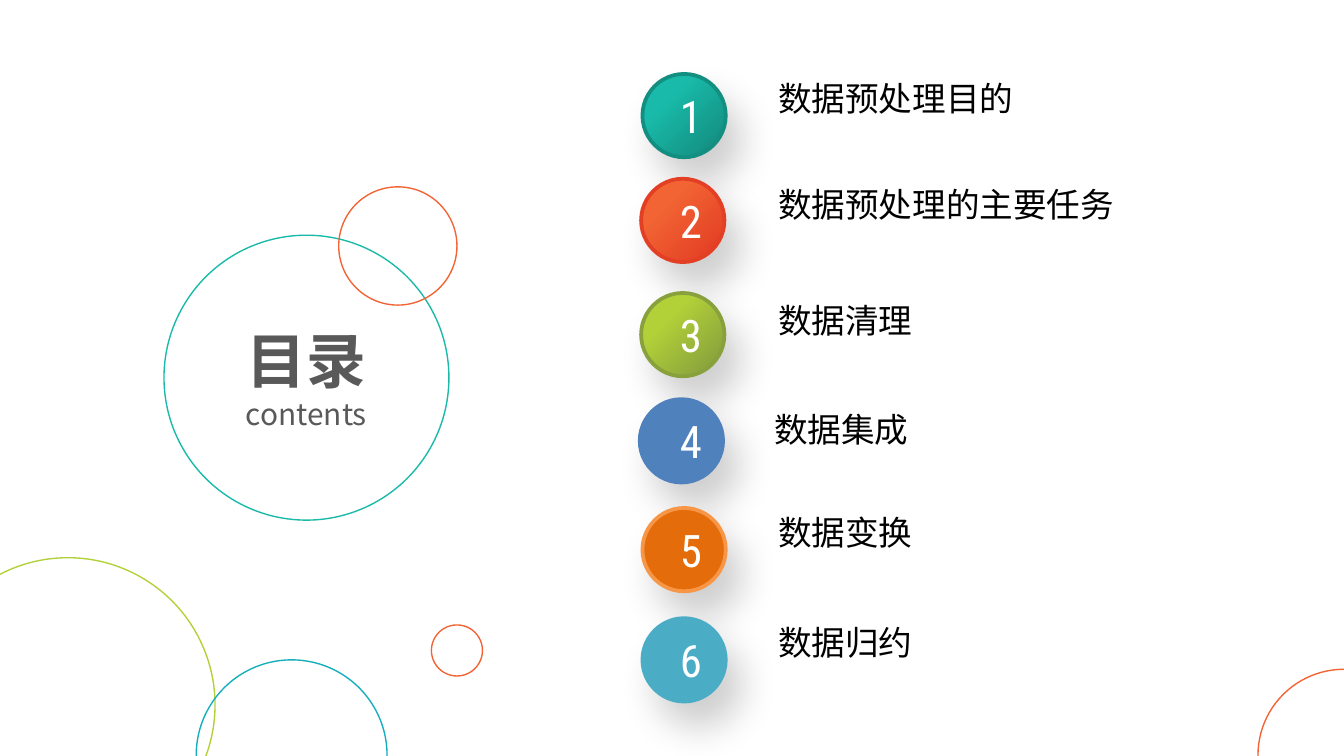
from lxml import etree
from pptx import Presentation
from pptx.dml.color import RGBColor
from pptx.enum.shapes import MSO_SHAPE
from pptx.enum.text import MSO_AUTO_SIZE, PP_ALIGN
from pptx.oxml.ns import qn
from pptx.util import Inches, Pt

OVAL = MSO_SHAPE.OVAL
GROW = MSO_AUTO_SIZE.SHAPE_TO_FIT_TEXT
CENTER, LEFT = PP_ALIGN.CENTER, PP_ALIGN.LEFT

# Content
TITLE, SUBTITLE = "目录", "contents"
# label, badge left, badge top, label left, label top, label width, fill, line
TOPICS = [
    ("数据预处理目的", 4.78, 0.55, 5.79, 0.53, 2.13, ("19BAA9", "138F81"), "138F81"),
    ("数据预处理的主要任务", 4.77, 1.33, 5.79, 1.32, 2.68, ("F26434", "E33F24"), "E33F24"),
    ("数据清理", 4.77, 2.18, 5.79, 2.18, 2.99, ("B2D138", "89A13D"), "89A13D"),
    ("数据集成", 4.76, 2.97, 5.76, 2.99, 3.23, ("4F81BD",), "4F81BD"),
    ("数据变换", 4.78, 3.78, 5.79, 3.76, 2.68, ("E46C0A",), "F79646"),
    ("数据归约", 4.78, 4.6, 5.79, 4.58, 2.68, ("4BACC6",), "4BACC6"),
]
# left, top, diameter, colour name
RINGS = [
    (1.22, 1.75, 2.12, "teal"),
    (-0.59, 4.15, 2.19, "green"),
    (2.52, 1.39, 0.88, "orange"),
    (1.46, 4.91, 1.42, "blue"),
    (3.21, 4.65, 0.38, "orange"),
    (9.36, 4.98, 1.28, "orange"),
]

CJK = "Noto Sans CJK SC"
THEME = {
    "rings": {"teal": "19BAA9", "green": "B2D138", "orange": "F26434", "blue": "14AEBD"},
    "title": {"size": Pt(32), "name": CJK, "color": "595959", "bold": True},
    "subtitle": {"size": Pt(16), "name": CJK, "color": "595959", "bold": False},
    "number": {"size": Pt(24), "name": "Roboto Condensed", "color": "FFFFFF"},
    "label": {"size": Pt(18), "name": CJK, "color": "000000"},
    "shadow": {"color": "0D0D0D", "alpha": 20, "blur": 20, "dist": 15, "angle": 59},
    "ring_line": 0.75,
    "badge_line": 2,
}
BADGE = 0.62
NUMBER_LEFT = 4.96


def rgb(value):
    return RGBColor.from_string(value)


def add_circle(s, left, top, size, line, width):
    sp = s.shapes.add_shape(OVAL, Inches(left), Inches(top), Inches(size), Inches(size))
    sp.shadow.inherit = False
    sp.fill.background()
    sp.line.color.rgb = rgb(line)
    sp.line.width = Pt(width)
    return sp


def fill_badge(sp, colors):
    if len(colors) == 1:
        sp.fill.solid()
        sp.fill.fore_color.rgb = rgb(colors[0])
        return
    sp.fill.gradient()
    sp.fill.gradient_angle = 315
    for stop, color, position in zip(sp.fill.gradient_stops, colors, (0.3, 0.9)):
        stop.color.rgb = rgb(color)
        stop.position = position


def add_shadow(sp, color, alpha, blur, dist, angle):
    effects = sp.element.spPr.find(qn("a:effectLst"))
    shadow = etree.SubElement(
        effects, qn("a:outerShdw"), blurRad=str(Pt(blur)), dist=str(Pt(dist)),
        dir=str(angle * 60000), algn="ctr", rotWithShape="0")
    clr = etree.SubElement(shadow, qn("a:srgbClr"), val=color)
    etree.SubElement(clr, qn("a:alpha"), val=str(alpha * 1000))


def add_text(s, box, lines, align=LEFT, inset=0.1):
    sp = s.shapes.add_textbox(*map(Inches, box))
    tf = sp.text_frame
    tf.word_wrap = True
    tf.auto_size = GROW
    tf.margin_left = Inches(inset)
    for i, (text, style) in enumerate(lines):
        p = tf.add_paragraph() if i else tf.paragraphs[0]
        p.alignment = align
        r = p.add_run()
        r.text = text
        for key, value in THEME[style].items():
            if key == "color":
                r.font.color.rgb = rgb(value)
            else:
                setattr(r.font, key, value)
        # East Asian text needs its own typeface entry
        ea = etree.SubElement(r.font._element, qn("a:ea"))
        ea.set("typeface", THEME[style]["name"])


def main():
    prs = Presentation()
    prs.slide_width = Inches(10)
    prs.slide_height = prs.slide_width * 9 // 16
    s = prs.slides.add_slide(prs.slide_layouts[6])

    # Decorative rings
    for left, top, size, color in RINGS:
        add_circle(s, left, top, size, THEME["rings"][color], THEME["ring_line"])

    # Heading
    add_text(s, (1.64, 2.36, 1.28, 0.91),
             [(TITLE, "title"), (SUBTITLE, "subtitle")], CENTER)

    # Numbered topics
    for n, (label, x, y, label_x, label_y, width, fill, line) in enumerate(TOPICS, 1):
        sp = add_circle(s, x, y, BADGE, line, THEME["badge_line"])
        fill_badge(sp, fill)
        add_shadow(sp, **THEME["shadow"])
        add_text(s, (NUMBER_LEFT, y + 0.06, 0.24, 0.5), [(str(n), "number")], CENTER)
        add_text(s, (label_x, label_y, width, 0.4), [(label, "label")], inset=0)

    prs.save("out.pptx")


if __name__ == "__main__":
    main()
